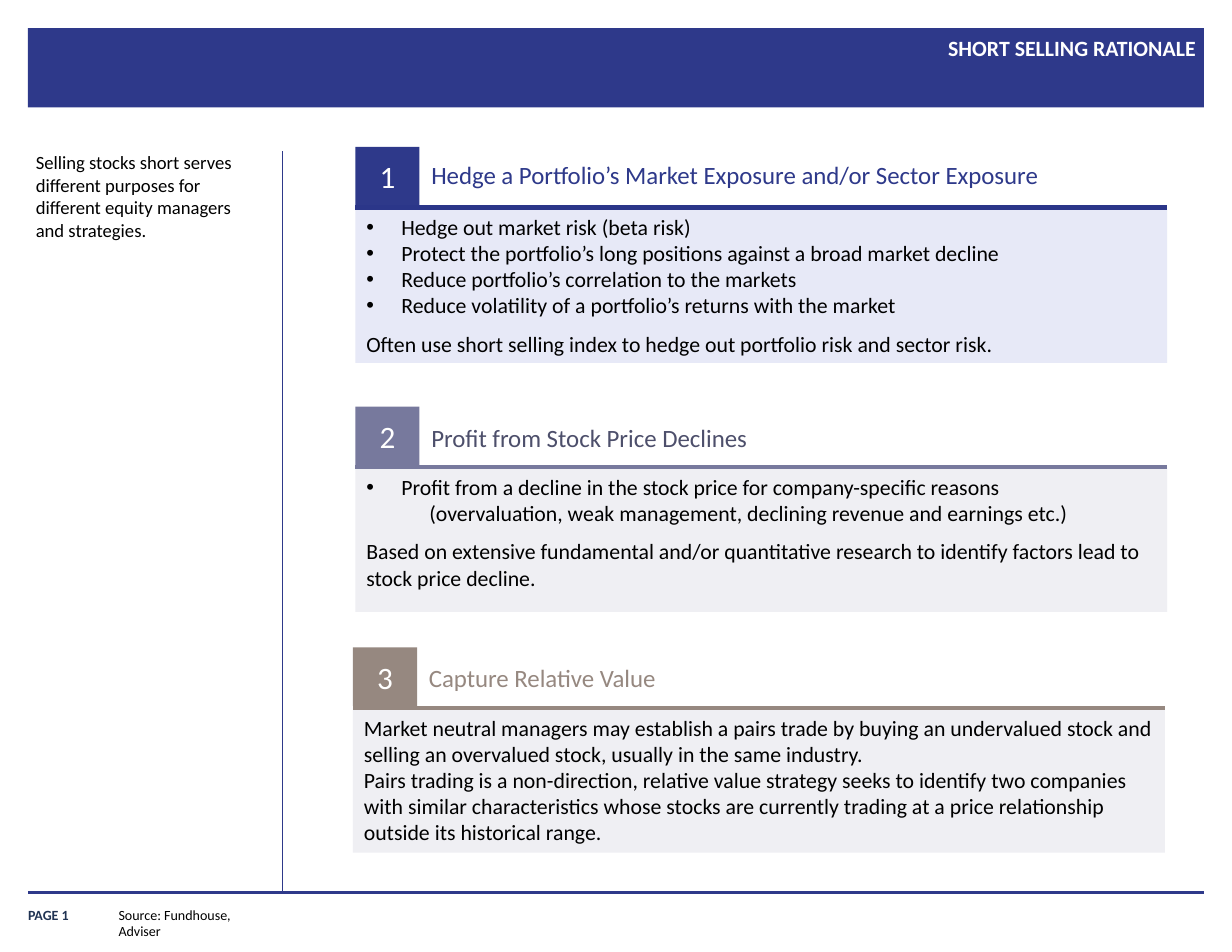
"""Build the short selling rationale slide."""
from lxml import etree
from pptx import Presentation
from pptx import util as u
from pptx.dml import color
from pptx.enum import shapes, text
from pptx.oxml import ns

HUES = {
    "navy": "2E398A", "rule": "2B3689", "ink": "203353", "black": "000000",
    "white": "FFFFFF", "slate": "77799D", "dusk": "4D4F6B", "taupe": "968880",
    "pale": "E7E9F7", "mist": "EFEFF3",
}
LEFT, MID, RIGHT = text.PP_ALIGN.LEFT, text.PP_ALIGN.CENTER, text.PP_ALIGN.RIGHT
TOP, CORE, BASE = (text.MSO_ANCHOR.TOP, text.MSO_ANCHOR.MIDDLE,
                   text.MSO_ANCHOR.BOTTOM)


class Deck:
    """Hold the style and the current slide."""

    def __init__(self, wide, high, font):
        self.prs = Presentation()
        self.prs.slide_width, self.prs.slide_height = u.Pt(wide), u.Pt(high)
        self.font = font
        self.slide = self.prs.slides.add_slide(self.prs.slide_layouts[6])

    def hue(self, name):
        return color.RGBColor.from_string(HUES[name])

    def style(self, para, size, hue, bold=False, align=LEFT):
        para.alignment = align
        for run in para.runs:
            run.font.name, run.font.size = self.font, u.Pt(size)
            run.font.bold = bold
            run.font.color.rgb = self.hue(hue)

    def rect(self, x, y, w, h, hue):
        box = self.slide.shapes.add_shape(
            shapes.MSO_SHAPE.RECTANGLE, u.Pt(x), u.Pt(y), u.Pt(w), u.Pt(h))
        box.shadow.inherit = False
        box.fill.solid()
        box.fill.fore_color.rgb = self.hue(hue)
        box.line.fill.background()
        return box

    def badge(self, x, y, w, h, hue, label):
        frame = self.rect(x, y, w, h, hue).text_frame
        frame.text = label
        frame.vertical_anchor = CORE
        self.style(frame.paragraphs[0], 20, "white", align=MID)

    def line(self, x1, y1, x2, y2, hue, width):
        rule = self.slide.shapes.add_connector(
            shapes.MSO_CONNECTOR.STRAIGHT,
            u.Pt(x1), u.Pt(y1), u.Pt(x2), u.Pt(y2))
        rule.line.color.rgb = self.hue(hue)
        rule.line.width = u.Pt(width)
        etree.SubElement(rule._element.spPr, ns.qn("a:effectLst"))

    def frame(self, x, y, w, h, inset=True, wrap=True, anchor=TOP):
        frame = self.slide.shapes.add_textbox(
            u.Pt(x), u.Pt(y), u.Pt(w), u.Pt(h)).text_frame
        frame.word_wrap = wrap
        frame.vertical_anchor = anchor
        if not inset:
            frame.margin_left = frame.margin_right = 0
            frame.margin_top = frame.margin_bottom = 0
        return frame

    def label(self, x, y, w, h, words, size, hue, bold=False, align=LEFT,
              **kind):
        frame = self.frame(x, y, w, h, **kind)
        frame.text = words
        self.style(frame.paragraphs[0], size, hue, bold, align)
        return frame.paragraphs[0]

    def indent(self, para, left, first, bullet=False):
        props = para._p.get_or_add_pPr()
        props.set("marL", str(u.Pt(left)))
        props.set("indent", str(u.Pt(first)))
        if bullet:
            etree.SubElement(props, ns.qn("a:buFont")).set("typeface", "Arial")
            etree.SubElement(props, ns.qn("a:buChar")).set("char", "•")

    def body(self, x, y, w, h, items):
        frame = self.frame(x, y, w, h)
        for i, (kind, words) in enumerate(items):
            para = frame.add_paragraph() if i else frame.paragraphs[0]
            para.text = words
            if kind == "dot":
                self.indent(para, 22.5, -22.5, True)
            elif kind == "sub":
                para.level = 1
                self.indent(para, 40.5, 0)
            elif kind == "gap":
                para.space_before = u.Pt(8)
            self.style(para, 14, "black")

    def block(self, num, x, y, high, drop, hues, head, items):
        main, rule, tone, fill = hues
        wide, base = 522, y + 38.9
        self.badge(x, y, 41.3, 37.6, main, str(num))
        self.rect(x, base, wide, high, fill)
        self.line(x, base, x + wide, base, rule, 3)
        self.label(x + 41.8, y + drop, wide - 41.8, 26.7, head, 16, tone)
        self.body(x, base + 0.5, wide, high, items)


BLOCKS = [
    (228.4, 94.4, 100, 5, ("navy", "rule", "navy", "pale"),
     "Hedge a Portfolio’s Market Exposure and/or Sector Exposure",
     [("dot", "Hedge out market risk (beta risk)"),
      ("dot", "Protect the portfolio’s long positions against a broad market "
              "decline"),
      ("dot", "Reduce portfolio’s correlation to the markets"),
      ("dot", "Reduce volatility of a portfolio’s returns with the market"),
      ("gap", "Often use short selling index to hedge out portfolio risk and "
              "sector risk.")]),
    (228.4, 261.4, 93, 6.5, ("slate", "slate", "dusk", "mist"),
     "Profit from Stock Price Declines",
     [("dot", "Profit from a decline in the stock price for company-specific "
              "reasons"),
      ("sub", "(overvaluation, weak management, declining revenue and earnings "
              "etc.)"),
      ("gap", "Based on extensive fundamental and/or quantitative research to "
              "identify factors lead to stock price decline.")]),
    (226.8, 416.2, 93, 6.5, ("taupe", "taupe", "taupe", "mist"),
     "Capture Relative Value",
     [("plain", "Market neutral managers may establish a pairs trade by buying "
                "an undervalued stock and selling an overvalued stock, usually "
                "in the same industry."),
      ("plain", "Pairs trading is a non-direction, relative value strategy "
                "seeks to identify two companies with similar characteristics "
                "whose stocks are currently trading at a price relationship "
                "outside its historical range.")]),
]


def main():
    deck = Deck(792, 612, "Calibri")
    deck.rect(18, 18, 756, 51, "navy")
    deck.label(18, 576.7, 65.5, 16.6, "PAGE 1", 9, "ink", True,
               inset=False, anchor=BASE)
    deck.line(18, 573.8, 774, 573.8, "navy", 2.25)
    deck.line(181.4, 97.2, 181.4, 574.5, "navy", 0.5)
    title = deck.label(228.2, 20.9, 540.7, 48.2, "SHORT SELLING RATIONALE",
                       14, "white", True, RIGHT, inset=False)
    title.line_spacing = 1.1
    deck.label(23, 97.2, 144.7, 466.6,
               "Selling stocks short serves different purposes for different "
               "equity managers and strategies.", 12, "black", inset=False)
    deck.label(69.1, 578.9, 102.2, 18, "Source: Fundhouse, Adviser", 9, "black",
               wrap=False)
    for num, spot in enumerate(BLOCKS, 1):
        deck.block(num, *spot)
    deck.prs.save("out.pptx")


if __name__ == "__main__":
    main()
